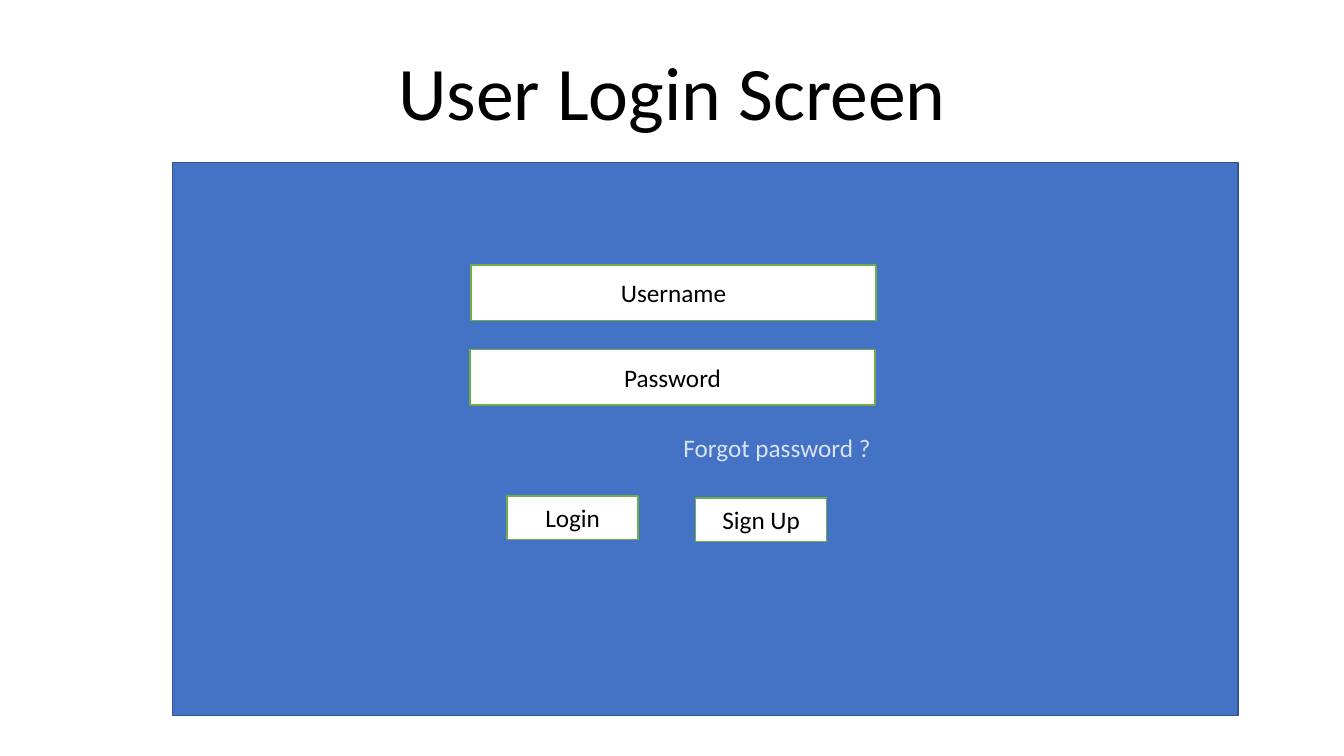
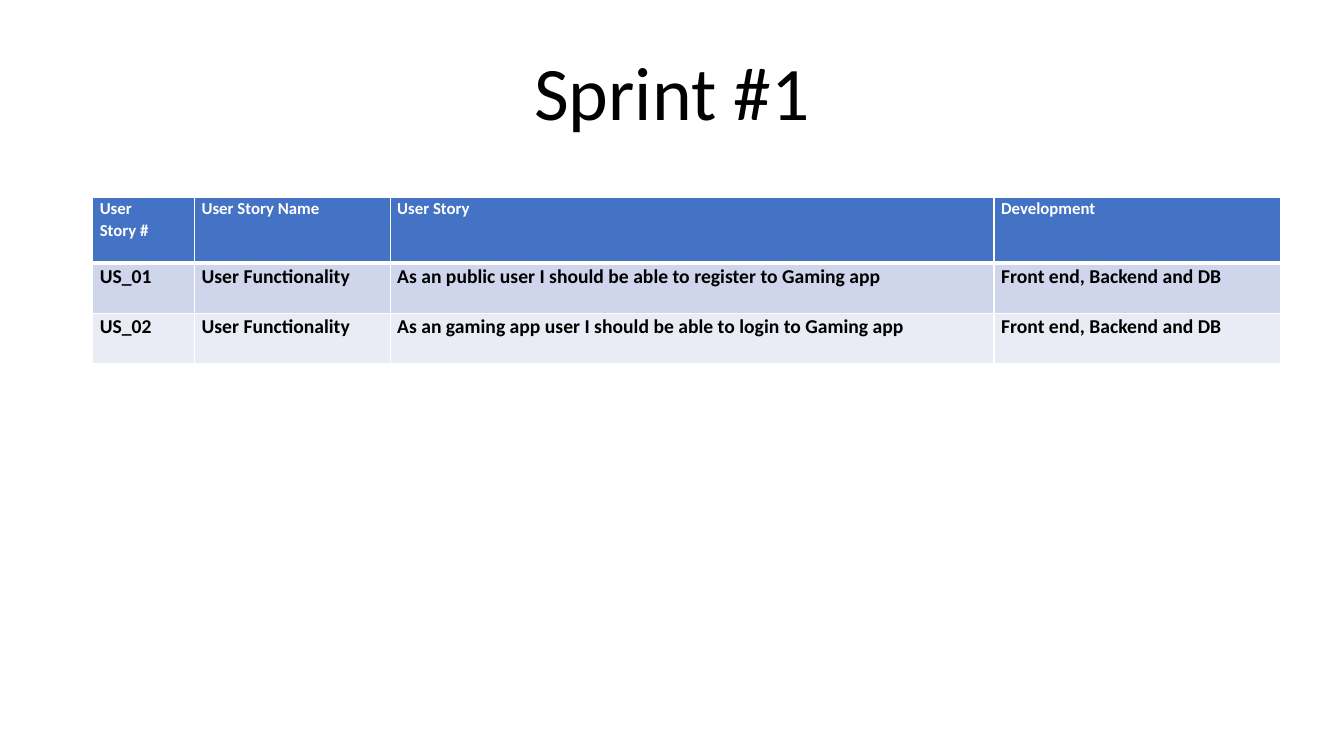
"""Build a login screen mock-up and a sprint backlog table."""
import pptx
import pptx.dml.color
import pptx.enum.shapes
import pptx.enum.text
import pptx.oxml
import pptx.oxml.ns
import pptx.util

PX = 9144
FONT = "Calibri"
COLORS = {
    "blue": "4472C4",
    "navy": "325491",
    "green": "70AD47",
    "white": "FFFFFF",
    "black": "000000",
    "pale": "DAE3F3",
    "band_dark": "CFD5EA",
    "band_light": "E9EBF5",
}
ALIGN = pptx.enum.text.PP_ALIGN
MIDDLE = pptx.enum.text.MSO_ANCHOR.MIDDLE
TITLE_ONLY = 5

COLUMN_WIDTHS = [101, 194, 599, 284]
ROW_HEIGHTS = [65, 50, 50]
BACKLOG = [
    ["User\nStory #", "User Story Name", "User Story", "Development"],
    ["US_01", "User Functionality",
     "As an public user I should be able to register to Gaming app",
     "Front end, Backend and DB"],
    ["US_02", "User Functionality",
     "As an gaming app user I should be able to login to Gaming app",
     "Front end, Backend and DB"],
]
ROW_STYLES = [("blue", "white", 12), ("band_dark", "black", 14), ("band_light", "black", 14)]


def px(*lengths):
    return [pptx.util.Emu(length * PX) for length in lengths]


def rgb(name):
    return pptx.dml.color.RGBColor.from_string(COLORS[name])


def write(frame, text, size, color, align, bold=False, spacing=None):
    frame.text = text
    for para in frame.paragraphs:
        para.alignment = align
        para.line_spacing = spacing
        for span in para.runs:
            span.font.name = FONT
            span.font.size = pptx.util.Pt(size)
            span.font.bold = bold
            span.font.color.rgb = rgb(color)


def add_page(deck, title):
    page = deck.slides.add_slide(deck.slide_layouts[TITLE_ONLY])
    box = page.shapes.title
    box.left, box.top, box.width, box.height = px(382, 39, 569, 101)
    frame = box.text_frame
    write(frame, title, 54, "black", ALIGN.CENTER)
    frame.word_wrap = False
    frame.auto_size = pptx.enum.text.MSO_AUTO_SIZE.NONE
    frame.vertical_anchor = MIDDLE
    return page


def add_panel(page, area, fill, line):
    panel = page.shapes.add_shape(pptx.enum.shapes.MSO_SHAPE.RECTANGLE, *px(*area))
    panel.shadow.inherit = False
    panel.fill.solid()
    panel.fill.fore_color.rgb = rgb(fill)
    panel.line.color.rgb = rgb(line)
    panel.line.width = pptx.util.Pt(1)
    return panel


def add_field(page, text, area):
    field = add_panel(page, area, "white", "green")
    field.text_frame.vertical_anchor = MIDDLE
    write(field.text_frame, text, 18, "black", ALIGN.CENTER)


def add_label(page, text, area):
    box = page.shapes.add_textbox(*px(*area))
    box.text_frame.word_wrap = True
    write(box.text_frame, text, 18, "pale", ALIGN.LEFT)


def set_borders(cell, top, bottom):
    properties = cell._tc.get_or_add_tcPr()
    for side, points in (("L", 1), ("R", 1), ("T", top), ("B", bottom)):
        properties.append(pptx.oxml.parse_xml(
            f'<a:ln{side} {pptx.oxml.ns.nsdecls("a")} w="{pptx.util.Pt(points)}">'
            f'<a:solidFill><a:srgbClr val="{COLORS["white"]}"/></a:solidFill></a:ln{side}>'))


def fill_cell(cell, text, row):
    fill, color, size = ROW_STYLES[row]
    set_borders(cell, top=3 if row == 1 else 1, bottom=3 if row == 0 else 1)
    cell.fill.solid()
    cell.fill.fore_color.rgb = rgb(fill)
    cell.margin_left, cell.margin_top, cell.margin_right, cell.margin_bottom = px(7, 0, 7, 0)
    write(cell.text_frame, text, size, color, ALIGN.JUSTIFY, bold=True, spacing=1.07)


def add_backlog(page, left, top):
    area = px(left, top, sum(COLUMN_WIDTHS), sum(ROW_HEIGHTS))
    table = page.shapes.add_table(len(BACKLOG), len(COLUMN_WIDTHS), *area).table
    for column, width in zip(table.columns, px(*COLUMN_WIDTHS)):
        column.width = width
    for row, height in zip(table.rows, px(*ROW_HEIGHTS)):
        row.height = height
    for row, texts in enumerate(BACKLOG):
        for column, text in enumerate(texts):
            fill_cell(table.cell(row, column), text, row)


def main():
    deck = pptx.Presentation()
    deck.slide_width, deck.slide_height = px(1333, 750)

    login = add_page(deck, "User Login Screen")
    add_panel(login, (171, 161, 1057, 549), "blue", "navy")
    add_field(login, "Username", (467, 263, 402, 55))
    add_field(login, "Password", (466, 347, 402, 55))
    add_field(login, "Login", (503, 492, 130, 43))
    add_field(login, "Sign Up", (690, 494, 130, 43))
    add_label(login, "Forgot password ?", (668, 424, 213, 40))

    sprint = add_page(deck, "Sprint #1")
    add_backlog(sprint, 92, 196)

    deck.save("out.pptx")


if __name__ == "__main__":
    main()
